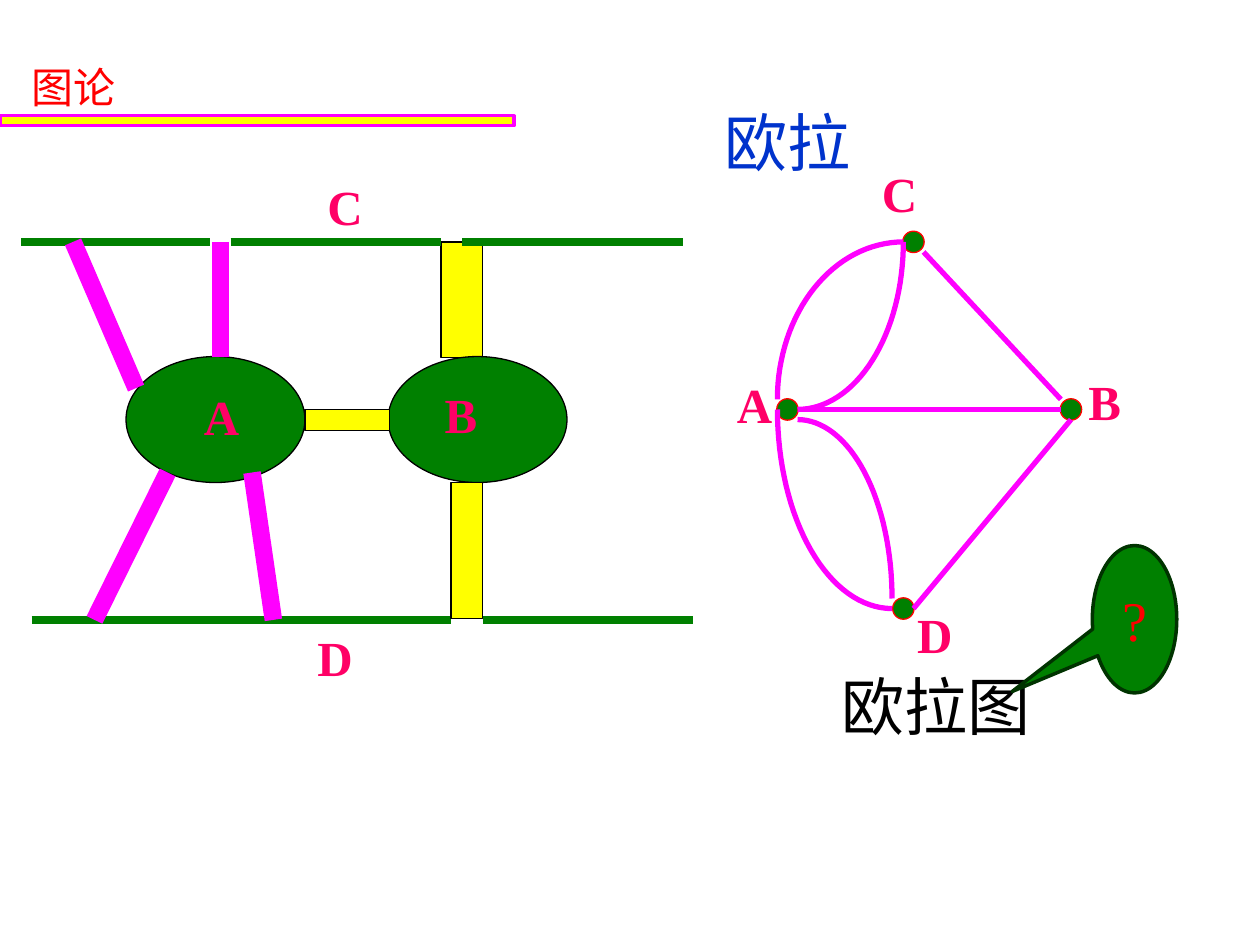
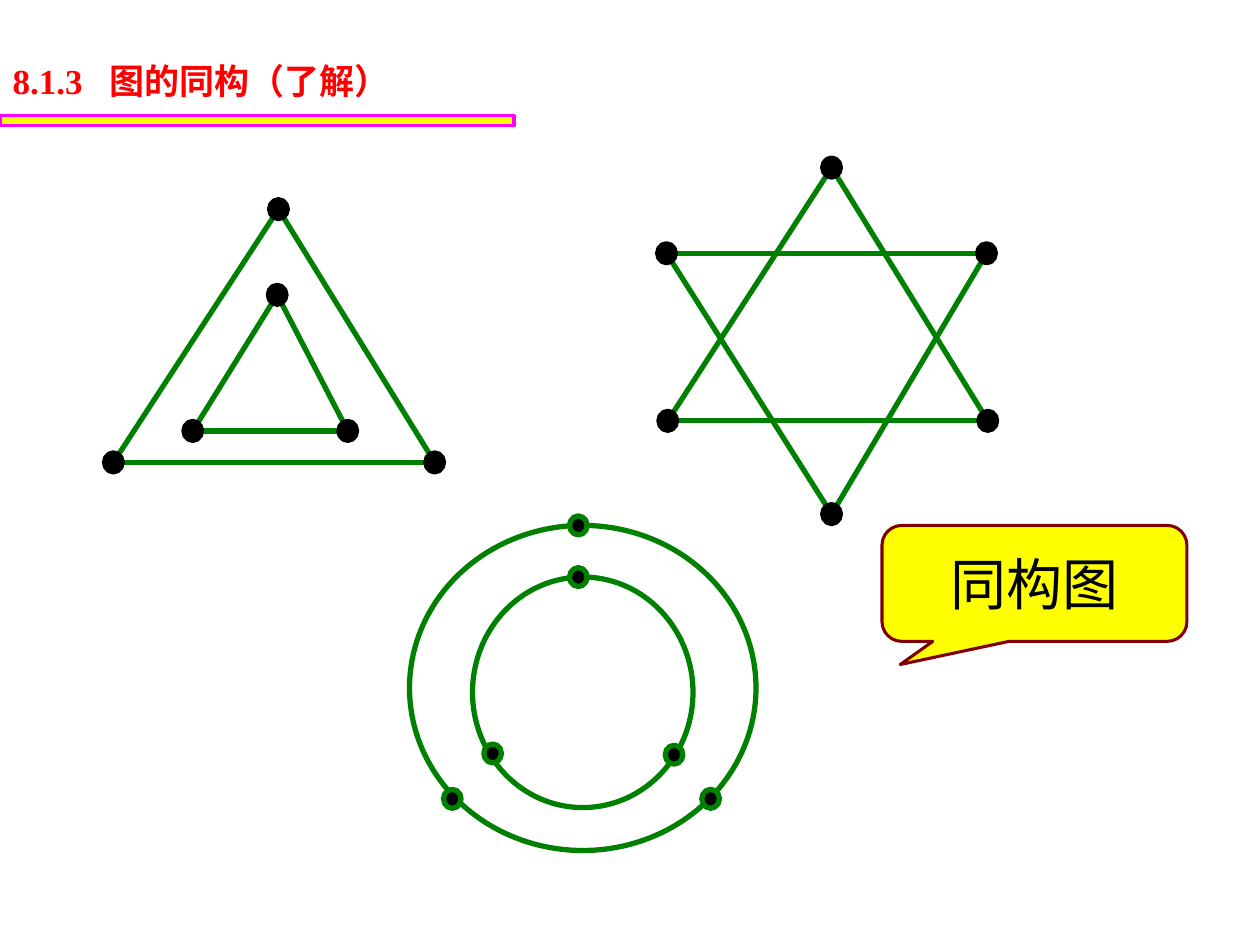
import math
from dataclasses import dataclass

from lxml import etree
from pptx import Presentation
from pptx import util as u
from pptx.dml.color import RGBColor
from pptx.enum import shapes, text
from pptx.oxml.ns import qn

COLOURS = {
    "yellow": "FFFF00", "magenta": "FF00FF", "green": "008000", "red": "FF0000",
    "blue": "0033CC", "pink": "FF0066", "black": "000000",
    "dark green": "003300", "maroon": "800000",
}
SANS, SERIF = "Arial", "Times New Roman"
TITLE = {"size": u.Pt(24), "name": SANS, "bold": False}
SECTION = {"size": u.Pt(20), "name": SANS, "bold": True}
HEADING = {"size": u.Pt(36), "name": SANS}
LABEL = {"size": u.Pt(28), "name": SERIF, "bold": True}
TITLE_ONLY = 5
OVAL = shapes.MSO_SHAPE.OVAL
RECT = shapes.MSO_SHAPE.RECTANGLE


def colour(name):
    return RGBColor.from_string(COLOURS[name])


def set_all(target, values):
    for key, value in values.items():
        setattr(target, key, value)


def add_span(para, words, style, tint):
    span = para.add_run()
    span.text = words
    set_all(span.font, style)
    span.font.color.rgb = colour(tint)


@dataclass
class Region:
    """A part of a page; all lengths are inches from its corner."""
    page: object
    left: float
    top: float

    def place(self, x, y):
        return u.Inches(self.left + x), u.Inches(self.top + y)

    def outline(self, shape, fill, tint, width):
        shape.shadow.inherit = False
        if fill:
            shape.fill.solid()
            shape.fill.fore_color.rgb = colour(fill)
        else:
            shape.fill.background()
        shape.line.color.rgb = colour(tint)
        shape.line.width = u.Pt(width)

    def shape(self, kind, x, y, width, height, fill, tint, weight):
        shape = self.page.shapes.add_shape(
            kind, *self.place(x, y), u.Inches(width), u.Inches(height))
        self.outline(shape, fill, tint, weight)
        return shape

    def dots(self, centres, width, height, fill, tint, weight):
        for x, y in centres:
            self.shape(OVAL, x - width / 2, y - height / 2, width, height,
                       fill, tint, weight)

    def line(self, start, end, tint, width):
        line = self.page.shapes.add_connector(
            shapes.MSO_CONNECTOR.STRAIGHT, *self.place(*start), *self.place(*end))
        line.line.color.rgb = colour(tint)
        line.line.width = u.Pt(width)
        etree.SubElement(line._element.spPr, qn("a:effectLst"))

    def quarter_arc(self, start, end, tint, width, steps=32):
        """Leaves start level and reaches end upright."""
        (x0, y0), (x1, y1) = start, end
        turns = [math.pi / 2 * step / steps for step in range(1, steps + 1)]
        points = [self.place(x0 + (x1 - x0) * math.sin(turn),
                             y1 + (y0 - y1) * math.cos(turn)) for turn in turns]
        builder = self.page.shapes.build_freeform(*self.place(*start), scale=1)
        builder.add_line_segments(points, close=False)
        self.outline(builder.convert_to_shape(), None, tint, width)

    def words(self, content, x, y, width, height, style, tint, wrap=True):
        box = self.page.shapes.add_textbox(
            *self.place(x, y), u.Inches(width), u.Inches(height))
        set_all(box.text_frame, {"word_wrap": wrap,
                                 "auto_size": text.MSO_AUTO_SIZE.SHAPE_TO_FIT_TEXT})
        add_span(box.text_frame.paragraphs[0], content, style, tint)

    def labels(self, corners):
        for name, (x, y) in corners.items():
            self.words(name, x, y, 0.48, 0.57, LABEL, "pink", wrap=False)

    def callout(self, kind, width, height, tail, content, style, tint, look):
        bubble = self.shape(kind, 0, 0, width, height, *look)
        for index, value in enumerate(tail):
            bubble.adjustments[index] = value
        bubble.text_frame.vertical_anchor = text.MSO_ANCHOR.MIDDLE
        para = bubble.text_frame.paragraphs[0]
        para.alignment = text.PP_ALIGN.CENTER
        add_span(para, content, style, tint)


def add_page(deck, left, top, width, height):
    """New page with the shared band; returns it with its title paragraph."""
    page = deck.slides.add_slide(deck.slide_layouts[TITLE_ONLY])
    Region(page, 0, 0.92).shape(RECT, 0, 0, 4.08, 0.08, "yellow", "magenta", 1.75)
    title = page.shapes.title
    set_all(title, {"left": u.Inches(left), "top": u.Inches(top),
                    "width": u.Inches(width), "height": u.Inches(height)})
    set_all(title.text_frame, {"vertical_anchor": text.MSO_ANCHOR.TOP,
                               "auto_size": text.MSO_AUTO_SIZE.NONE,
                               "word_wrap": True})
    para = title.text_frame.paragraphs[0]
    para.alignment = text.PP_ALIGN.LEFT
    return page, para


def draw_euler_graph(box):
    nodes = {"A": (0.75, 2.25), "B": (3, 2.25), "C": (1.75, 0.92), "D": (1.67, 3.83)}
    box.dots(nodes.values(), 0.17, 0.17, "green", "red", 0.75)
    box.labels({"A": (0.25, 1.92), "B": (3.04, 1.9), "C": (1.4, 0.25), "D": (1.68, 3.75)})
    edges = [((2.92, 2.17), (1.83, 1)), ((0.83, 2.25), (2.92, 2.25)),
             ((1.75, 3.83), (3, 2.33))]
    for start, end in edges:
        box.line(start, end, "magenta", 3)
    arcs = [((1.67, 0.92), (0.67, 2.17)), ((0.83, 2.33), (1.58, 3.75)),
            ((0.83, 2.25), (1.67, 0.92)), ((1.58, 3.83), (0.67, 2.25))]
    for start, end in arcs:
        box.quarter_arc(start, end, "magenta", 3)


def draw_seven_bridges(box):
    north, south = 0.92, 3.92
    bridge = ("yellow", "black", 0.75)
    # North bridge lies under the bank lines
    box.shape(RECT, 3.5, north, 0.33, 0.92, *bridge)
    banks = {north: [(0.17, 1.67), (1.83, 3.5), (3.67, 5.42)],
             south: [(0.25, 1.92), (1.92, 3.58), (3.83, 5.5)]}
    for level, spans in banks.items():
        for start, end in spans:
            box.line((start, level), (end, level), "green", 4.25)
    # Islands and the other broad bridges
    for x in (1, 3.08):
        box.shape(OVAL, x, 1.83, 1.42, 1, "green", "black", 0.75)
    box.shape(RECT, 2.42, 2.25, 0.67, 0.17, *bridge)
    box.shape(RECT, 3.58, 2.83, 0.25, 1.08, *bridge)
    box.labels({"A": (1.52, 2.02), "B": (3.43, 2), "C": (2.5, 0.35), "D": (2.42, 3.93)})
    # Bridges from island A
    crossings = [((0.58, north), (1.08, 2.08)), ((1.75, 1.83), (1.75, north)),
                 ((2, 2.75), (2.17, south)), ((1.33, 2.75), (0.75, south))]
    for start, end in crossings:
        box.line(start, end, "magenta", 10)


def draw_triangles(box, triangles):
    for corners in triangles:
        for index, corner in enumerate(corners):
            box.line(corners[index - 1], corner, "green", 3)
    for corners in triangles:
        box.dots(corners, 0.14, 0.15, "black", "black", 3)


def draw_rings(box):
    box.shape(OVAL, 0.75, 0.58, 1.75, 1.83, None, "green", 3)
    box.shape(OVAL, 0.25, 0.17, 2.75, 2.58, None, "green", 3)
    inner = [(1.59, 0.58), (0.91, 1.98), (2.35, 1.99)]
    outer = [(1.59, 0.17), (0.59, 2.34), (2.64, 2.34)]
    box.dots(inner + outer, 0.14, 0.15, "black", "green", 3)


def build_euler_page(deck):
    page, para = add_page(deck, 0.15, 0.44, 1.18, 0.5)
    add_span(para, "图论", TITLE, "red")
    Region(page, 5.65, 0.77).words("欧拉", 0, 0, 2.18, 0.7, HEADING, "blue")
    draw_euler_graph(Region(page, 5.5, 1))
    draw_seven_bridges(Region(page, 0, 1))
    Region(page, 6.58, 5.25).words("欧拉图", 0, 0, 2.93, 0.7, HEADING, "black")
    Region(page, 8.67, 4.33).callout(
        shapes.MSO_SHAPE.OVAL_CALLOUT, 0.67, 1.17, (-1.45, 0.49), "?",
        {"size": u.Pt(32), "name": SERIF}, "red", ("green", "dark green", 2))


def build_isomorphism_page(deck):
    page, para = add_page(deck, 0, 0.42, 4.33, 0.43)
    stops = etree.SubElement(para._p.get_or_add_pPr(), qn("a:tabLst"))
    etree.SubElement(stops, qn("a:tab"), pos=str(u.Inches(0.77)), algn="l")
    add_span(para, "8.1.3\t", {**SECTION, "name": SERIF}, "red")
    add_span(para, "图的同构（了解）", SECTION, "red")
    star = [[(1.6, 0.33), (0.3, 2.34), (2.84, 2.34)],
            [(1.6, 3.08), (0.29, 1.01), (2.83, 1.01)]]
    nested = [[(1.71, 0.16), (0.4, 2.17), (2.95, 2.17)],
              [(1.7, 0.84), (1.03, 1.92), (2.26, 1.92)]]
    draw_triangles(Region(page, 5, 1), star)
    draw_triangles(Region(page, 0.5, 1.5), nested)
    draw_rings(Region(page, 3, 4))
    Region(page, 7, 4.17).callout(
        shapes.MSO_SHAPE.ROUNDED_RECTANGULAR_CALLOUT, 2.42, 0.92, (-0.44, 0.7, 0.17),
        "同构图", {"size": u.Pt(32), "name": SANS}, "black", ("yellow", "maroon", 1.75))


def main():
    deck = Presentation()
    set_all(deck, {"slide_width": u.Inches(10), "slide_height": u.Inches(7.5)})
    build_euler_page(deck)
    build_isomorphism_page(deck)
    deck.save("out.pptx")


if __name__ == "__main__":
    main()
